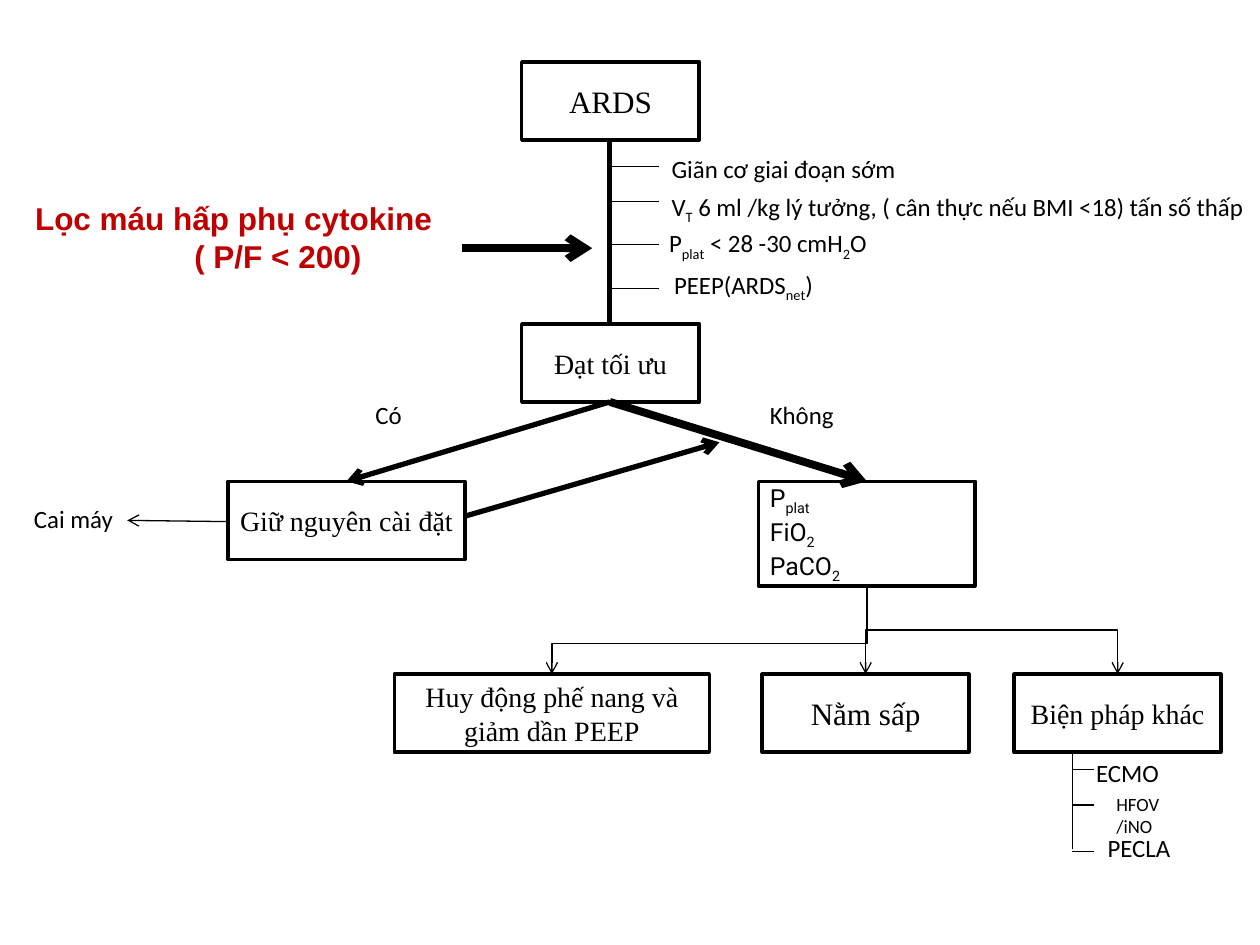
from dataclasses import dataclass

from lxml import etree
from pptx import Presentation
from pptx.dml.color import RGBColor
from pptx.enum import shapes, text
from pptx.oxml.ns import qn
from pptx.util import Inches, Pt

BLACK = RGBColor(0x00, 0x00, 0x00)
WHITE = RGBColor(0xFF, 0xFF, 0xFF)
RED = RGBColor(0xC0, 0x00, 0x00)
CENTER = text.PP_ALIGN.CENTER
LEFT = text.PP_ALIGN.LEFT
THIN, MEDIUM, THICK = 0.75, 3, 4.5


@dataclass
class Label:
    """Text block; the parts between tildes are subscripts."""
    x: float
    y: float
    w: float
    h: float
    lines: tuple[str, ...]
    size: float = 14.2
    font: str = "Calibri"
    align: text.PP_ALIGN = LEFT
    color: RGBColor = BLACK
    bold: bool = False


@dataclass
class Line:
    x1: float
    y1: float
    x2: float
    y2: float
    width: float = THIN
    arrow: bool = False


def step(x: float, y: float, w: float, name: str, size: float = 16) -> Label:
    return Label(x, y, w, 0.62, (name,), size, "Times New Roman", CENTER)


STEPS = [
    step(4.14, 0.49, 1.41, "ARDS", 17.8),
    step(4.14, 2.57, 1.41, "Đạt tối ưu"),
    step(1.81, 3.82, 1.88, "Giữ nguyên cài đặt"),
    Label(6.02, 3.82, 1.72, 0.83, ("P~plat~", "FiO~2~", "PaCO~2~"), font="Roboto"),
    step(3.13, 5.35, 2.5, "Huy động phế nang và giảm dần PEEP"),
    step(6.05, 5.35, 1.64, "Nằm sấp", 17.8),
    step(8.05, 5.35, 1.64, "Biện pháp khác"),
]
LABELS = [
    Label(5.24, 1.18, 2, 0.34, ("Giãn cơ giai đoạn sớm",)),
    Label(5.24, 1.48, 4.82, 0.34,
          ("V~T~ 6 ml /kg lý tưởng, ( cân thực nếu BMI <18) tấn số thấp",)),
    Label(5.22, 1.77, 1.83, 0.34, ("P~plat~ < 28 -30 cmH~2~O",)),
    Label(5.26, 2.1, 1.34, 0.34, ("PEEP(ARDS~net~)",)),
    Label(2.89, 3.13, 0.46, 0.34, ("Có",)),
    Label(6.02, 3.13, 0.72, 0.34, ("Không",)),
    Label(0.18, 3.96, 0.83, 0.34, ("Cai máy",)),
    Label(8.61, 5.97, 0.7, 0.34, ("ECMO",)),
    Label(8.77, 6.25, 0.55, 0.46, ("HFOV", "/iNO"), 10.7),
    Label(8.7, 6.57, 0.71, 0.34, ("PECLA",)),
]
FILTRATION = Label(0.15, 1.54, 3.41, 0.71, ("Lọc máu hấp phụ cytokine", "( P/F < 200)"),
                   18, "Arial", CENTER, RED, True)

LINES = [
    Line(4.84, 1.11, 4.84, 2.57, MEDIUM),
    Line(4.84, 3.19, 2.75, 3.82, MEDIUM, True),
    Line(4.84, 3.19, 6.88, 3.82, THICK, True),
    Line(3.68, 4.1, 5.71, 3.51, MEDIUM, True),
    Line(3.67, 1.97, 4.7, 1.97, THICK, True),
    Line(1.81, 4.14, 1.01, 4.13, THIN, True),
    Line(8.51, 5.97, 8.51, 6.74),
    *(Line(4.84, y, 5.23, y) for y in (1.32, 1.6, 1.94, 2.29)),
    *(Line(8.51, y, 8.68, y) for y in (6.11, 6.39, 6.76)),
]
ELBOWS = [
    Line(6.88, 4.86, 4.38, 5.35, arrow=True),
    Line(6.88, 4.65, 6.87, 5.35, arrow=True),
    Line(6.88, 4.65, 8.87, 5.35, arrow=True),
]


def write(tf, label: Label) -> None:
    tf.margin_left = tf.margin_right = Inches(0.09)
    tf.margin_top = tf.margin_bottom = Inches(0.04)
    for i, line in enumerate(label.lines):
        p = tf.add_paragraph() if i else tf.paragraphs[0]
        p.alignment = label.align
        for j, part in enumerate(line.split("~")):
            if not part:
                continue
            r = p.add_run()
            r.text = part
            f = r.font
            f.name, f.size, f.bold = label.font, Pt(label.size), label.bold
            f.color.rgb = label.color
            if j % 2:
                f._element.set("baseline", "-25000")


def frame(label: Label) -> list:
    return [Inches(v) for v in (label.x, label.y, label.w, label.h)]


def draw_step(s, label: Label) -> None:
    sp = s.shapes.add_shape(shapes.MSO_SHAPE.RECTANGLE, *frame(label))
    sp.shadow.inherit = False
    sp.fill.solid()
    sp.fill.fore_color.rgb = WHITE
    sp.line.color.rgb = BLACK
    sp.line.width = Pt(2)
    sp.text_frame.word_wrap = True
    sp.text_frame.vertical_anchor = text.MSO_ANCHOR.MIDDLE
    write(sp.text_frame, label)


def draw_label(s, label: Label, wrap: bool = False):
    tf = s.shapes.add_textbox(*frame(label)).text_frame
    tf.word_wrap = wrap
    tf.auto_size = text.MSO_AUTO_SIZE.SHAPE_TO_FIT_TEXT
    write(tf, label)
    return tf


def draw_line(s, line: Line, kind=shapes.MSO_CONNECTOR.STRAIGHT):
    ends = [Inches(v) for v in (line.x1, line.y1, line.x2, line.y2)]
    c = s.shapes.add_connector(kind, *ends)
    c.line.color.rgb = BLACK
    c.line.width = Pt(line.width)
    if line.arrow:
        etree.SubElement(c.line._get_or_add_ln(), qn("a:tailEnd"), type="arrow")
    etree.SubElement(c._element.spPr, qn("a:effectLst"))
    return c


def draw_elbow(s, line: Line) -> None:
    """Draw an elbow that leaves and arrives vertically, by a quarter turn."""
    cx, cy = (line.x1 + line.x2) / 2, (line.y1 + line.y2) / 2
    dx, dy = abs(line.x2 - line.x1) / 2, (line.y2 - line.y1) / 2
    rightward = line.x2 > line.x1
    if rightward:
        dy = -dy  # start at the right, which flips the connector
    flat = Line(cx - dy, cy - dx, cx + dy, cy + dx, line.width, line.arrow)
    c = draw_line(s, flat, shapes.MSO_CONNECTOR.ELBOW)
    degrees = 270 if rightward else 90
    c._element.spPr.find(qn("a:xfrm")).set("rot", str(degrees * 60000))


def main() -> None:
    prs = Presentation()
    prs.slide_width, prs.slide_height = Inches(10), Inches(7.5)
    s = prs.slides.add_slide(prs.slide_layouts[6])
    for label in STEPS:
        draw_step(s, label)
    for line in LINES:
        draw_line(s, line)
    for line in ELBOWS:
        draw_elbow(s, line)
    for label in LABELS:
        draw_label(s, label)
    tf = draw_label(s, FILTRATION, wrap=True)
    tf.paragraphs[1]._p.get_or_add_pPr().set("marL", str(Inches(0.7)))
    prs.save("out.pptx")


if __name__ == "__main__":
    main()
